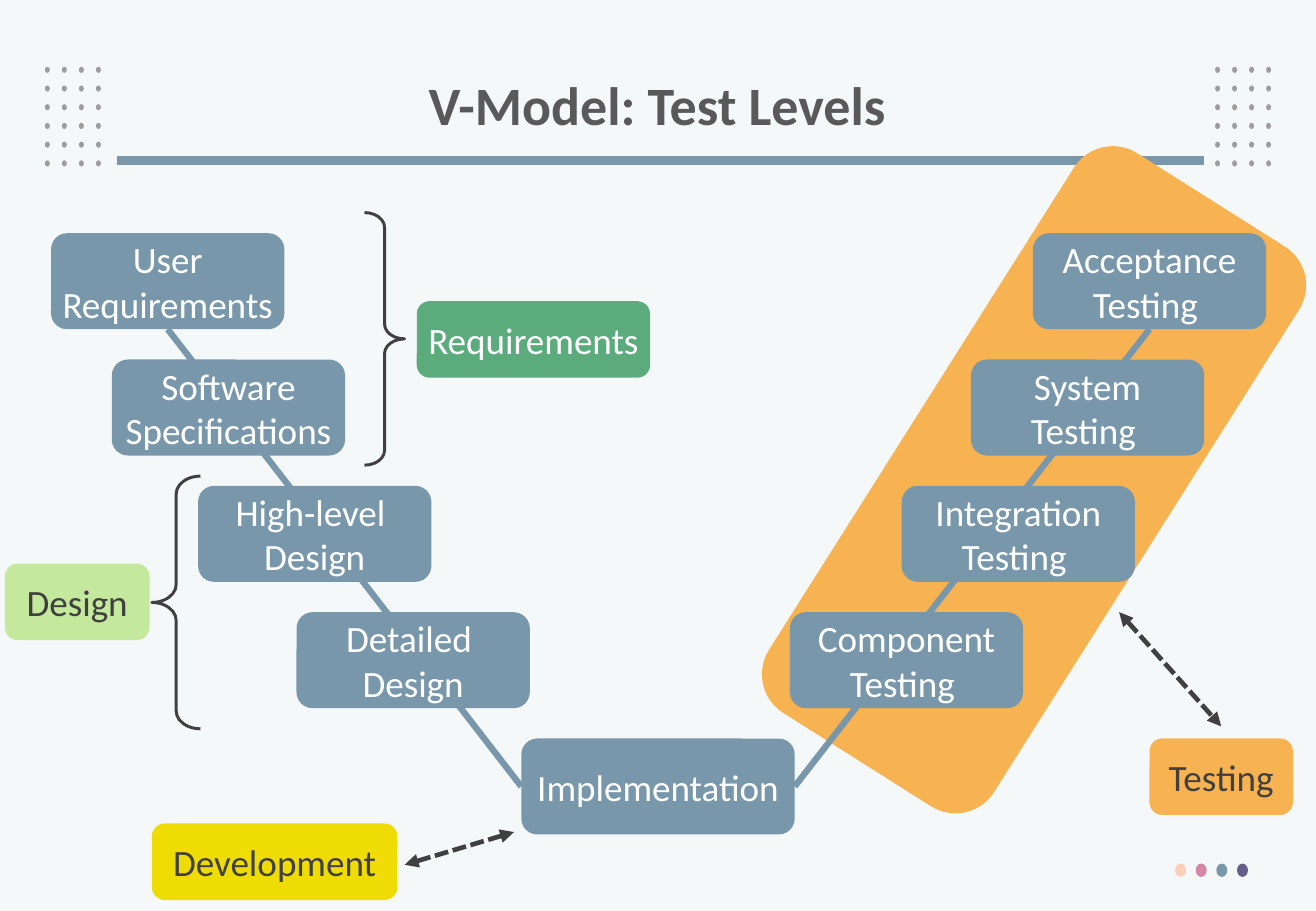
from lxml import etree
from pptx import Presentation
from pptx.dml.color import RGBColor
from pptx.enum.dml import MSO_LINE
from pptx.enum.shapes import MSO_CONNECTOR, MSO_SHAPE
from pptx.enum.text import MSO_ANCHOR, PP_ALIGN
from pptx.oxml.ns import qn
from pptx.util import Inches, Pt

ROUNDED = MSO_SHAPE.ROUNDED_RECTANGLE
ELLIPSE = MSO_SHAPE.OVAL
LEFT_BRACE = MSO_SHAPE.LEFT_BRACE
RIGHT_BRACE = MSO_SHAPE.RIGHT_BRACE
STRAIGHT = MSO_CONNECTOR.STRAIGHT
DASHED = MSO_LINE.SQUARE_DOT
MIDDLE = MSO_ANCHOR.MIDDLE
CENTER = PP_ALIGN.CENTER

FONT = "Calibri"
COLORS = {
    name: RGBColor.from_string(value)
    for name, value in {
        "background": "F5F8F9", "title": "595959", "dot": "9D9D9D",
        "steel": "7897AB", "orange": "F7B352", "green": "5CAB7D",
        "lime": "C5E99C", "yellow": "EFDC05", "dark": "404040",
        "white": "FFFFFF", "peach": "FDCEB9", "pink": "D885A3",
        "violet": "655D8A",
    }.items()
}

WIDTH, HEIGHT = 10.83, 7.5
FIRST_ROW, ROW_STEP = 1.92, 1.04
BOX_WIDTH, BOX_HEIGHT, LABEL_HEIGHT = 1.92, 0.79, 0.63
BASE_LEFT, BASE_WIDTH = 4.29, 2.25
BASE_TOP = FIRST_ROW + 4 * ROW_STEP

deck = Presentation()
deck.slide_width, deck.slide_height = Inches(WIDTH), Inches(HEIGHT)
page = deck.slides.add_slide(deck.slide_layouts[5])
page.background.fill.solid()
page.background.fill.fore_color.rgb = COLORS["background"]


def add_block(kind, left, top, width, height, fill, text="", ink="white"):
    block = page.shapes.add_shape(
        kind, Inches(left), Inches(top), Inches(width), Inches(height))
    block.shadow.inherit = False
    block.fill.solid()
    block.fill.fore_color.rgb = COLORS[fill]
    block.line.fill.background()
    if text:
        frame = block.text_frame
        frame.text = text
        frame.word_wrap = True
        frame.vertical_anchor = MIDDLE
        frame.margin_left = frame.margin_right = 0
        frame.margin_top = frame.margin_bottom = Inches(0.04)
        for para in frame.paragraphs:
            para.alignment = CENTER
            for span in para.runs:
                span.font.name = FONT
                span.font.size = Pt(22)
                span.font.color.rgb = COLORS[ink]
    return block


def add_line(start, end, color, weight, arrows=False):
    line = page.shapes.add_connector(
        STRAIGHT, *(Inches(value) for value in (*start, *end)))
    line.line.color.rgb = COLORS[color]
    line.line.width = Pt(weight)
    if arrows:
        line.line.dash_style = DASHED
        outline = line.line._get_or_add_ln()
        for tip in ("a:headEnd", "a:tailEnd"):
            etree.SubElement(outline, qn(tip), type="triangle")
    etree.SubElement(line._element.spPr, qn("a:effectLst"))


for corner in (0.37, 10):
    for row in range(6):
        for column in range(4):
            add_block(ELLIPSE, corner + column * 0.14, 0.55 + row * 0.154,
                      0.04, 0.05, "dot")

add_line((9.91, 1.32), (0.96, 1.32), "steel", 5.25)

for column, color in enumerate(("peach", "pink", "steel", "violet")):
    add_block(ELLIPSE, 9.67 + column * 0.17, 7.11, 0.09, 0.11, color)

testing_band = add_block(ROUNDED, 7.43, 1.24, 2.16, 5.42, "orange")
testing_band.rotation = 32.3
testing_band.line.color.rgb = COLORS["orange"]
testing_band.line.width = Pt(2.25)

arm_top = FIRST_ROW + BOX_HEIGHT
arm_bottom = BASE_TOP + BOX_HEIGHT / 2
add_line((9.46, arm_top), (BASE_LEFT + BASE_WIDTH, arm_bottom), "steel", 3.75)
add_line((1.38, arm_top), (BASE_LEFT, arm_bottom), "steel", 3.75)

title = page.shapes.title
title.left, title.top = Inches(0.74), Inches(0.4)
title.width, title.height = Inches(9.34), Inches(0.98)
title.text_frame.text = "V-Model: Test Levels"
title.text_frame.vertical_anchor = MIDDLE
heading = title.text_frame.paragraphs[0]
heading.alignment = CENTER
heading.line_spacing = 0.9
heading_font = heading.runs[0].font
heading_font.name, heading_font.size, heading_font.bold = FONT, Pt(32), True
heading_font.color.rgb = COLORS["title"]

levels = [
    (0.42, "User Requirements", 8.5, "Acceptance\nTesting "),
    (0.92, "Software Specifications", 7.99, "System\nTesting "),
    (1.63, "High-level \nDesign", 7.42, "Integration\nTesting "),
    (2.44, "Detailed \nDesign", 6.5, "Component\nTesting "),
]
for row, (left, stage, right, test) in enumerate(levels):
    top = FIRST_ROW + row * ROW_STEP
    add_block(ROUNDED, left, top, BOX_WIDTH, BOX_HEIGHT, "steel", stage)
    add_block(ROUNDED, right, top, BOX_WIDTH, BOX_HEIGHT, "steel", test)
add_block(ROUNDED, BASE_LEFT, BASE_TOP, BASE_WIDTH, BOX_HEIGHT, "steel",
          "Implementation")

for kind, left, top, width in (
    (RIGHT_BRACE, 3, 1.75, 0.33),
    (LEFT_BRACE, 1.25, 3.92, 0.4),
):
    brace = add_block(kind, left, top, width, 2 * ROW_STEP, "dark")
    brace.fill.background()
    brace.line.color.rgb = COLORS["dark"]
    brace.line.width = Pt(1.75)
    brace.adjustments[0] = 0.369

for left, top, width, fill, text, ink in (
    (3.43, 2.48, BOX_WIDTH, "green", "Requirements", "white"),
    (0.04, 4.64, 1.19, "lime", "Design", "dark"),
    (1.25, 6.78, 2.02, "yellow", "Development", "dark"),
    (9.46, BASE_TOP, 1.18, "orange", "Testing", "dark"),
):
    add_block(ROUNDED, left, top, width, LABEL_HEIGHT, fill, text, ink)

add_line((3.33, 7.12), (4.23, 6.85), "dark", 2.75, arrows=True)
add_line((9.21, 5.04), (10.05, 5.98), "dark", 2.75, arrows=True)

deck.save("out.pptx")
